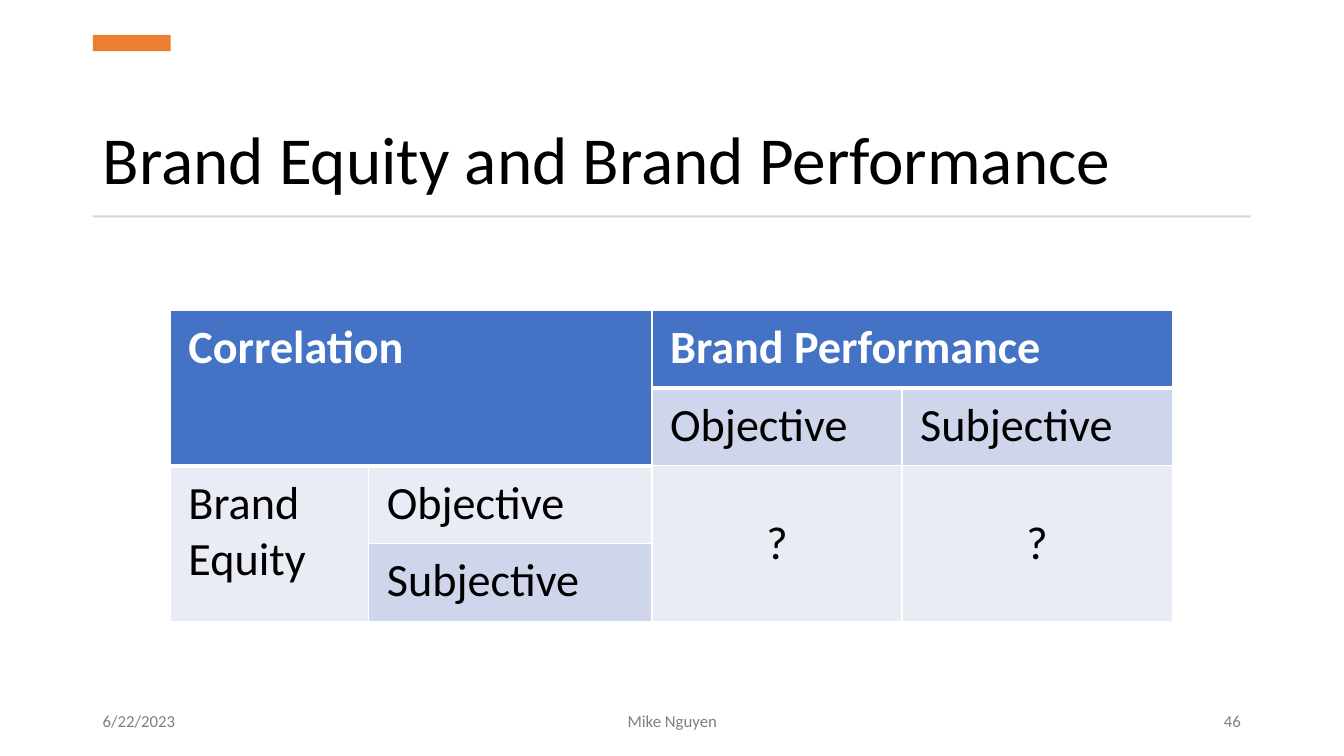
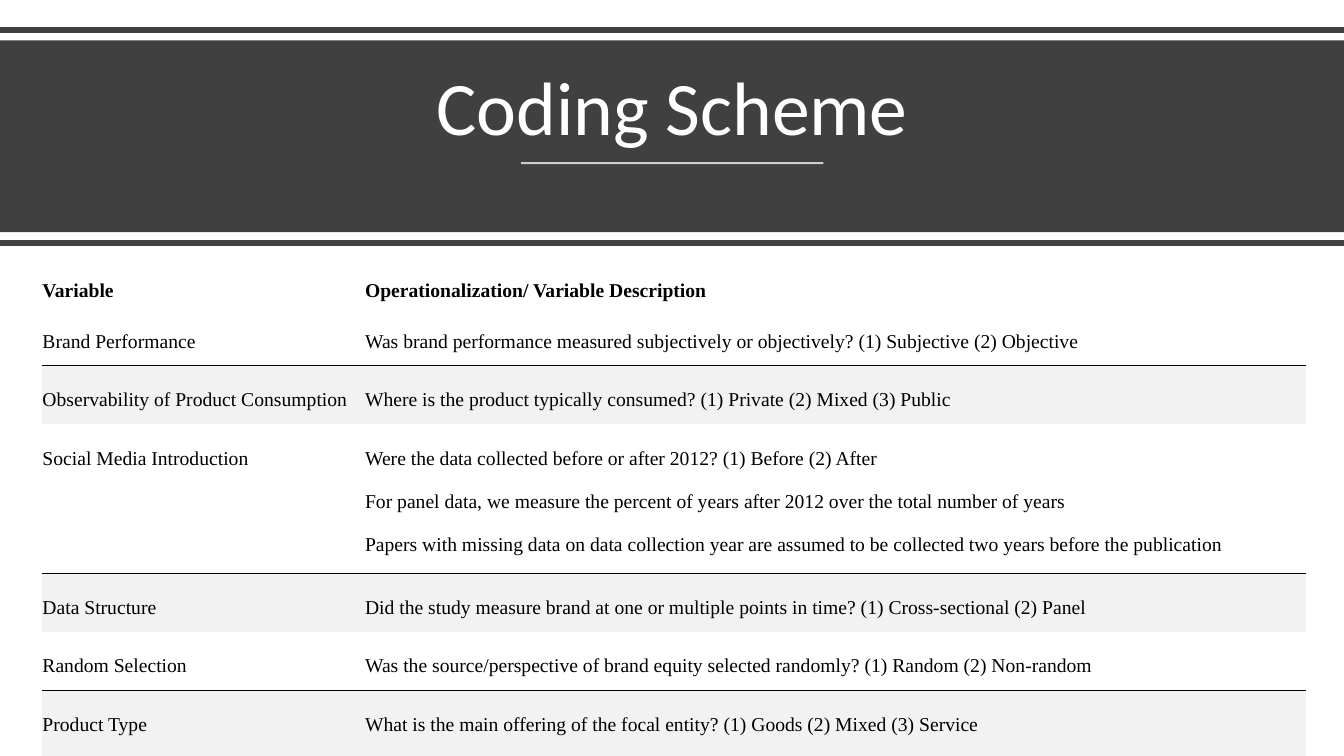
from dataclasses import dataclass

from pptx import Presentation
from pptx.dml.color import RGBColor
from pptx.enum.shapes import MSO_CONNECTOR, MSO_SHAPE
from pptx.enum.text import MSO_ANCHOR, PP_ALIGN
from pptx.oxml.ns import qn
from pptx.util import Cm, Pt
from lxml.etree import SubElement


@dataclass(frozen=True)
class Theme:
    font: str = "Calibri"
    serif: str = "Times New Roman"
    black: str = "000000"
    white: str = "FFFFFF"
    orange: str = "ED7D31"
    rule: str = "D5D5D5"
    footer: str = "808080"
    band: str = "404040"
    header: str = "4472C4"
    dark_row: str = "CFD5EA"
    light_row: str = "E9EBF5"
    shaded_row: str = "F2F2F2"
    title_size: float = 48
    band_title_size: float = 54
    matrix_size: float = 33
    scheme_size: float = 14
    footer_size: float = 12


class Deck:
    width, height = 33.87, 19.05

    def __init__(self, theme):
        self.theme = theme
        self.presentation = Presentation()
        self.presentation.slide_width = Cm(self.width)
        self.presentation.slide_height = Cm(self.height)
        self.slide = None

    def new_slide(self):
        self.slide = self.presentation.slides.add_slide(self.presentation.slide_layouts[6])

    def add_text_run(self, paragraph, text, size, color, font=None, bold=False,
                     align=PP_ALIGN.LEFT, spacing=None):
        paragraph.alignment = align
        if spacing:
            paragraph.line_spacing = spacing
        run = paragraph.add_run()
        run.text = text
        run.font.name = font or self.theme.font
        run.font.size = Pt(size)
        run.font.bold = bold
        run.font.color.rgb = RGBColor.from_string(color)

    def text(self, box, text, size, color, anchor=MSO_ANCHOR.MIDDLE, **style):
        shape = self.slide.shapes.add_textbox(*map(Cm, box))
        frame = shape.text_frame
        frame.word_wrap = True
        frame.vertical_anchor = anchor
        self.add_text_run(frame.paragraphs[0], text, size, color, **style)

    def title(self, box, text, size, color, align=PP_ALIGN.LEFT):
        self.text(box, text, size, color, MSO_ANCHOR.BOTTOM, align=align, spacing=0.9)

    def footers(self, *entries):
        places = [(2.34, 6.86, PP_ALIGN.LEFT), (11.23, 11.43, PP_ALIGN.CENTER),
                  (24.61, 6.91, PP_ALIGN.RIGHT)]
        for text, (left, width, align) in zip(entries, places):
            self.text((left, 17.65, width, 1.02), text, self.theme.footer_size,
                      self.theme.footer, align=align)

    def rectangle(self, box, color):
        shape = self.slide.shapes.add_shape(MSO_SHAPE.RECTANGLE, *map(Cm, box))
        shape.shadow.inherit = False
        shape.fill.solid()
        shape.fill.fore_color.rgb = RGBColor.from_string(color)
        shape.line.fill.background()

    def line(self, left, right, top, color, width, opacity=100):
        connector = self.slide.shapes.add_connector(
            MSO_CONNECTOR.STRAIGHT, Cm(left), Cm(top), Cm(right), Cm(top))
        connector.line.color.rgb = RGBColor.from_string(color)
        connector.line.width = Pt(width)
        properties = connector._element.spPr
        if opacity < 100:
            color_element = next(properties.iter(qn("a:srgbClr")))
            SubElement(color_element, qn("a:alpha"), val=str(opacity * 1000))
        SubElement(properties, qn("a:effectLst"))

    def table(self, left, top, columns, rows):
        frame = self.slide.shapes.add_table(
            len(rows), len(columns), Cm(left), Cm(top), Cm(sum(columns)), Cm(sum(rows)))
        table = frame.table
        table.first_row = table.horz_banding = False
        for column, width in zip(table.columns, columns):
            column.width = Cm(width)
        for row, height in zip(table.rows, rows):
            row.height = Cm(height)
        return table

    def cell(self, cell, fill, edge_color, edges, margins):
        properties = cell._tc.get_or_add_tcPr()
        for side, width in zip("LRTB", edges):
            edge = SubElement(properties, qn(f"a:ln{side}"), w=str(int(Pt(width))))
            if width:
                solid = SubElement(edge, qn("a:solidFill"))
                SubElement(solid, qn("a:srgbClr"), val=edge_color)
            else:
                SubElement(edge, qn("a:noFill"))
        if fill:
            cell.fill.solid()
            cell.fill.fore_color.rgb = RGBColor.from_string(fill)
        else:
            cell.fill.background()
        cell.margin_left, cell.margin_top, cell.margin_right, cell.margin_bottom = map(Cm, margins)


def build_equity_slide(deck):
    theme = deck.theme
    deck.new_slide()
    deck.title((2.34, 1.9, 29.18, 3.23), "Brand Equity and Brand Performance",
               theme.title_size, theme.black)
    deck.rectangle((2.34, 0.88, 1.96, 0.41), theme.orange)
    deck.rectangle((2.34, 5.43, 29.18, 0.05), theme.rule)
    deck.footers("6/22/2023", "Mike Nguyen", "46")

    header, dark, light = theme.header, theme.dark_row, theme.light_row
    texts = [
        ["Correlation", "", "Brand Performance", ""],
        ["", "", "Objective", "Subjective"],
        ["Brand Equity", "Objective", "?", "?"],
        ["", "Subjective", "", ""],
    ]
    fills = [
        [header] * 4,
        [header, header, dark, dark],
        [light] * 4,
        [light, dark, light, light],
    ]
    table = deck.table(4.29, 7.82, [5, 7.14, 6.3, 6.81], [1.96] * 4)
    for row, (row_texts, row_fills) in enumerate(zip(texts, fills)):
        for column, (text, fill) in enumerate(zip(row_texts, row_fills)):
            is_header = fill == header
            above = row > 0 and fills[row - 1][column] == header
            below = row < 3 and fills[row + 1][column] == header
            top = 3 if above and not is_header else 1
            bottom = 3 if is_header and not below else 1
            cell = table.cell(row, column)
            deck.cell(cell, fill, theme.white, (1, 1, top, bottom), (0.46, 0.23, 0.46, 0.23))
            if text:
                centred = text == "?"
                cell.vertical_anchor = MSO_ANCHOR.MIDDLE if centred else MSO_ANCHOR.TOP
                deck.add_text_run(cell.text_frame.paragraphs[0], text, theme.matrix_size,
                                  theme.white if is_header else theme.black, bold=is_header,
                                  align=PP_ALIGN.CENTER if centred else PP_ALIGN.LEFT)
    for first, last in [((0, 0), (1, 1)), ((0, 2), (0, 3)), ((2, 0), (3, 0)),
                        ((2, 2), (3, 2)), ((2, 3), (3, 3))]:
        table.cell(*first).merge(table.cell(*last))


def build_coding_slide(deck):
    theme = deck.theme
    deck.new_slide()
    deck.rectangle((0, 1.02, deck.width, 4.83), theme.band)
    for top in (0.76, 6.12):
        deck.line(0, deck.width, top, theme.band, 4)
    deck.title((1.47, 1.37, 30.94, 2.59), "Coding Scheme", theme.band_title_size,
               theme.white, PP_ALIGN.CENTER)
    deck.line(13.13, 20.75, 4.11, theme.white, 1.5, 75)

    variables = [
        ("Variable", ["Operationalization/ Variable Description"]),
        ("Brand Performance",
         ["Was brand performance measured subjectively or objectively? (1) Subjective (2) Objective"]),
        ("Observability of Product Consumption",
         ["Where is the product typically consumed? (1) Private (2) Mixed (3) Public"]),
        ("Social Media Introduction",
         ["Were the data collected before or after 2012? (1) Before (2) After",
          "For panel data, we measure the percent of years after 2012 over the total number of years",
          "Papers with missing data on data collection year are assumed to be collected "
          "two years before the publication"]),
        ("Data Structure",
         ["Did the study measure brand at one or multiple points in time? (1) Cross-sectional (2) Panel"]),
        ("Random Selection",
         ["Was the source/perspective of brand equity selected randomly? (1) Random (2) Non-random"]),
        ("Product Type",
         ["What is the main offering of the focal entity? (1) Goods (2) Mixed (3) Service"]),
    ]
    table = deck.table(1.07, 6.38, [8.13, 23.7], [1.27, 1.47, 1.47, 3.45, 1.47, 1.47, 2.06])
    for row, (variable, description) in enumerate(variables):
        is_header = row == 0
        shaded = row % 2 == 0 and not is_header
        top = 0.75 if shaded else 0
        bottom = 0.75 if row % 2 else 0
        for column, lines in enumerate([[variable], description]):
            cell = table.cell(row, column)
            deck.cell(cell, theme.shaded_row if shaded else None, theme.black,
                      (0, 0, top, bottom), (0, 0.03 if is_header else 0.05, 0.03, 0.15))
            cell.vertical_anchor = MSO_ANCHOR.BOTTOM if is_header else MSO_ANCHOR.TOP
            frame = cell.text_frame
            for index, line in enumerate(lines):
                paragraph = frame.add_paragraph() if index else frame.paragraphs[0]
                if index:
                    properties = paragraph._p.get_or_add_pPr()
                    properties.set("marL", str(int(Cm(0.97))))
                    properties.set("indent", str(-int(Cm(0.97))))
                deck.add_text_run(paragraph, line, theme.scheme_size, theme.black,
                                  font=theme.serif, bold=is_header, spacing=2.0)


def main():
    deck = Deck(Theme())
    build_equity_slide(deck)
    build_coding_slide(deck)
    deck.presentation.save("out.pptx")


if __name__ == "__main__":
    main()
